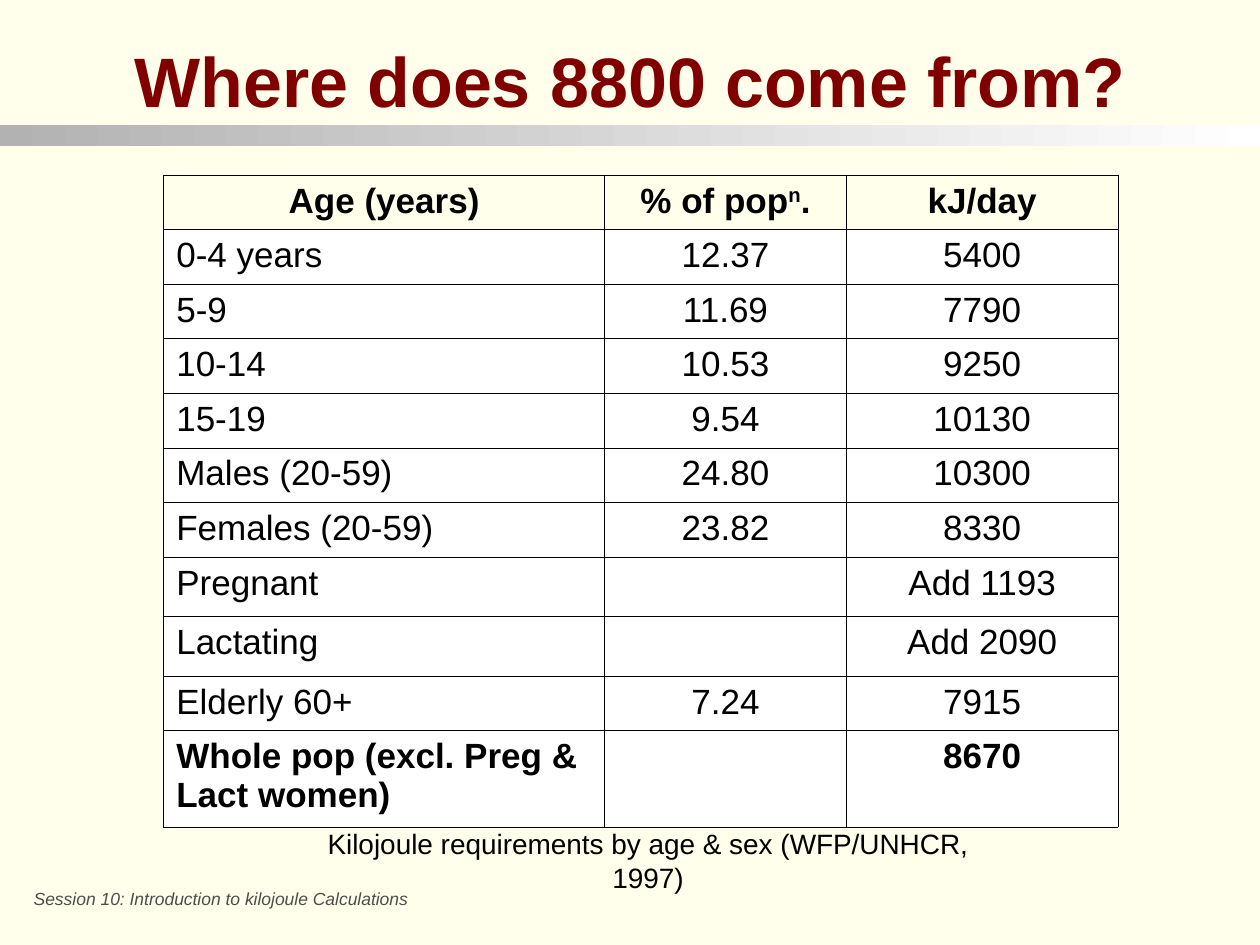
import pptx
import pptx.util
import pptx.dml.color
import pptx.enum.shapes
import pptx.enum.text
import pptx.oxml
import pptx.oxml.ns

Cm = pptx.util.Cm
Pt = pptx.util.Pt
PP_ALIGN = pptx.enum.text.PP_ALIGN
AUTO_SIZE = pptx.enum.text.MSO_AUTO_SIZE


def color(value):
    return pptx.dml.color.RGBColor.from_string(value)


def add_run(p, text, size, rgb="000000", bold=False, italic=False):
    r = p.add_run()
    r.text = text
    r.font.name = "Arial"
    r.font.size = Pt(size)
    r.font.bold = bold
    r.font.italic = italic
    r.font.color.rgb = color(rgb)
    return r


prs = pptx.Presentation()
prs.slide_width = Cm(25.4)
prs.slide_height = Cm(19.05)
s = prs.slides.add_slide(prs.slide_layouts[5])
s.background.fill.solid()
s.background.fill.fore_color.rgb = color("FFFFEB")

title = s.shapes.title
title.left, title.top, title.width, title.height = Cm(1.27), Cm(0.91), Cm(22.86), Cm(1.4)
tf = title.text_frame
tf.auto_size = AUTO_SIZE.NONE
tf.vertical_anchor = pptx.enum.text.MSO_ANCHOR.MIDDLE
p = tf.paragraphs[0]
p.alignment = PP_ALIGN.CENTER
add_run(p, "Where does 8800 come from?", 40, "800000", bold=True)

bar = s.shapes.add_shape(
    pptx.enum.shapes.MSO_SHAPE.RECTANGLE, Cm(0), Cm(2.52), prs.slide_width, Cm(0.42))
bar.shadow.inherit = False
bar.line.fill.background()
bar.fill.gradient()
bar.fill.gradient_angle = 180
for stop, rgb, position in zip(bar.fill.gradient_stops, ("FFFFFF", "B2B2B2"), (0, 1)):
    stop.color.rgb = color(rgb)
    stop.position = position

rows = [
    ("Age (years)", "% of pop|n|.", "kJ/day"),
    ("0-4 years", "12.37", "5400"),
    ("5-9", "11.69", "7790"),
    ("10-14", "10.53", "9250"),
    ("15-19", "9.54", "10130"),
    ("Males (20-59)", "24.80", "10300"),
    ("Females (20-59)", "23.82", "8330"),
    ("Pregnant", "", "Add 1193"),
    ("Lactating", "", "Add 2090"),
    ("Elderly 60+", "7.24", "7915"),
    ("Whole pop (excl. Preg & Lact women)", "", "8670"),
]
col_widths = [8.89, 4.87, 5.48]
row_heights = [1.1] * 7 + [1.2] * 2 + [1.1, 1.94]
last = len(rows) - 1

table = s.shapes.add_table(
    len(rows), len(col_widths), Cm(3.3), Cm(3.53),
    Cm(sum(col_widths)), Cm(sum(row_heights))).table
table.first_row = False
table.horz_banding = False
for col, width in zip(table.columns, col_widths):
    col.width = Cm(width)
for row, height in zip(table.rows, row_heights):
    row.height = Cm(height)

for i, row in enumerate(rows):
    for j, text in enumerate(row):
        cell = table.cell(i, j)
        tcPr = cell._tc.get_or_add_tcPr()
        for side in ("lnL", "lnR", "lnT", "lnB"):
            tcPr.append(pptx.oxml.parse_xml(
                f'<a:{side} {pptx.oxml.ns.nsdecls("a")} w="{Pt(0.45)}"><a:solidFill>'
                f'<a:srgbClr val="000000"/></a:solidFill></a:{side}>'))
        if i == 0:
            cell.fill.background()
        else:
            cell.fill.solid()
            cell.fill.fore_color.rgb = color("FFFFFF")
        p = cell.text_frame.paragraphs[0]
        p.space_before = Pt(5)
        p.alignment = PP_ALIGN.LEFT if i and j == 0 else PP_ALIGN.CENTER
        for k, part in enumerate(text.split("|") if text else []):
            r = add_run(p, part, 20, bold=i in (0, last))
            if k == 1:
                r.font._element.set("baseline", "30000")

caption = s.shapes.add_textbox(Cm(5.56), Cm(16.54), Cm(15.01), Cm(0.94))
tf = caption.text_frame
tf.word_wrap = False
tf.auto_size = AUTO_SIZE.SHAPE_TO_FIT_TEXT
p = tf.paragraphs[0]
p.alignment = PP_ALIGN.CENTER
add_run(p, "Kilojoule requirements by age & sex (WFP/UNHCR, 1997)", 16)

footer = s.shapes.add_textbox(Cm(0.43), Cm(17.78), Cm(10.67), Cm(0.69))
tf = footer.text_frame
tf.word_wrap = True
tf.auto_size = AUTO_SIZE.SHAPE_TO_FIT_TEXT
p = tf.paragraphs[0]
p.space_before = Pt(6.2)
add_run(p, "Session 10: Introduction to kilojoule Calculations", 10, "4D4D4D", italic=True)

prs.save("out.pptx")
